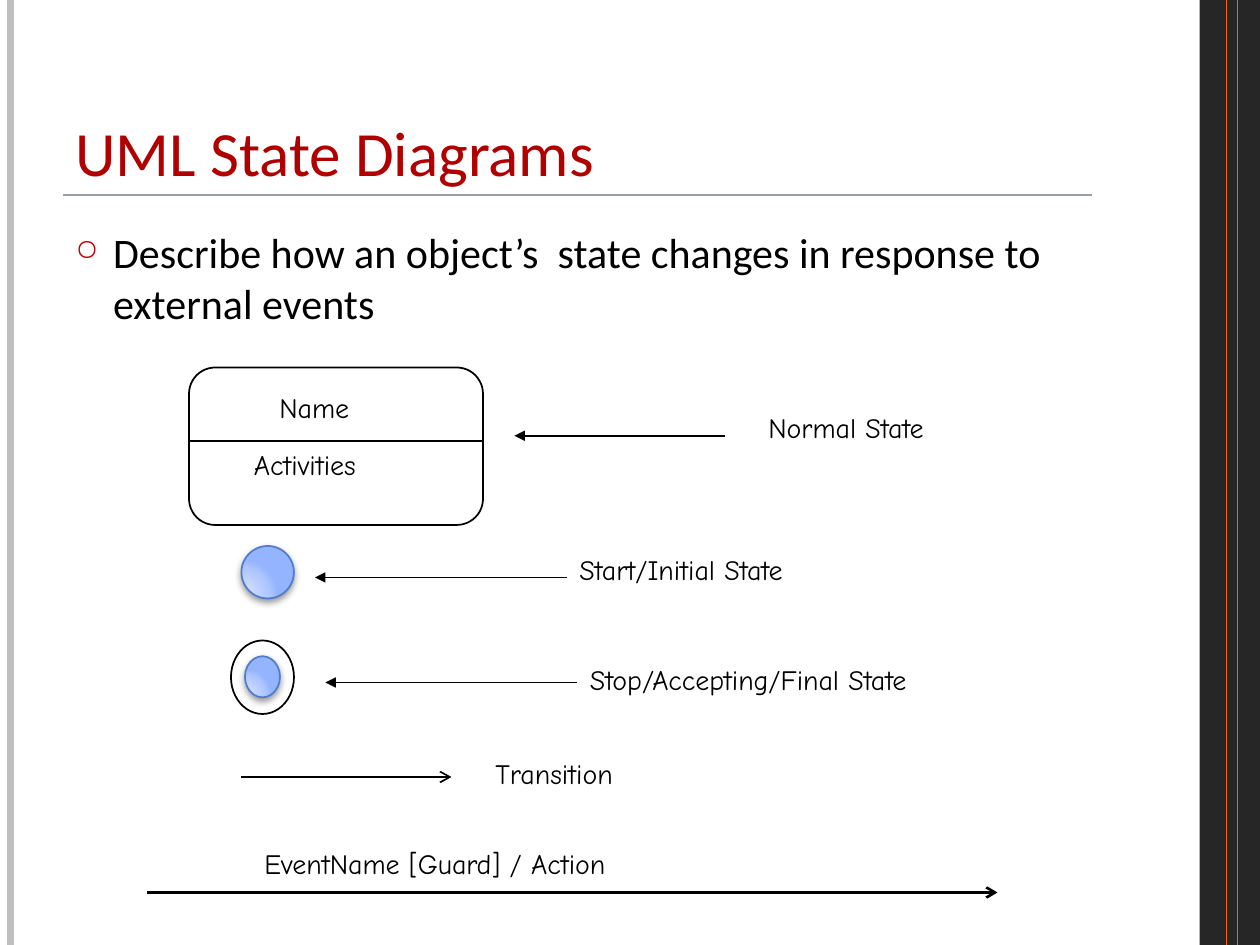
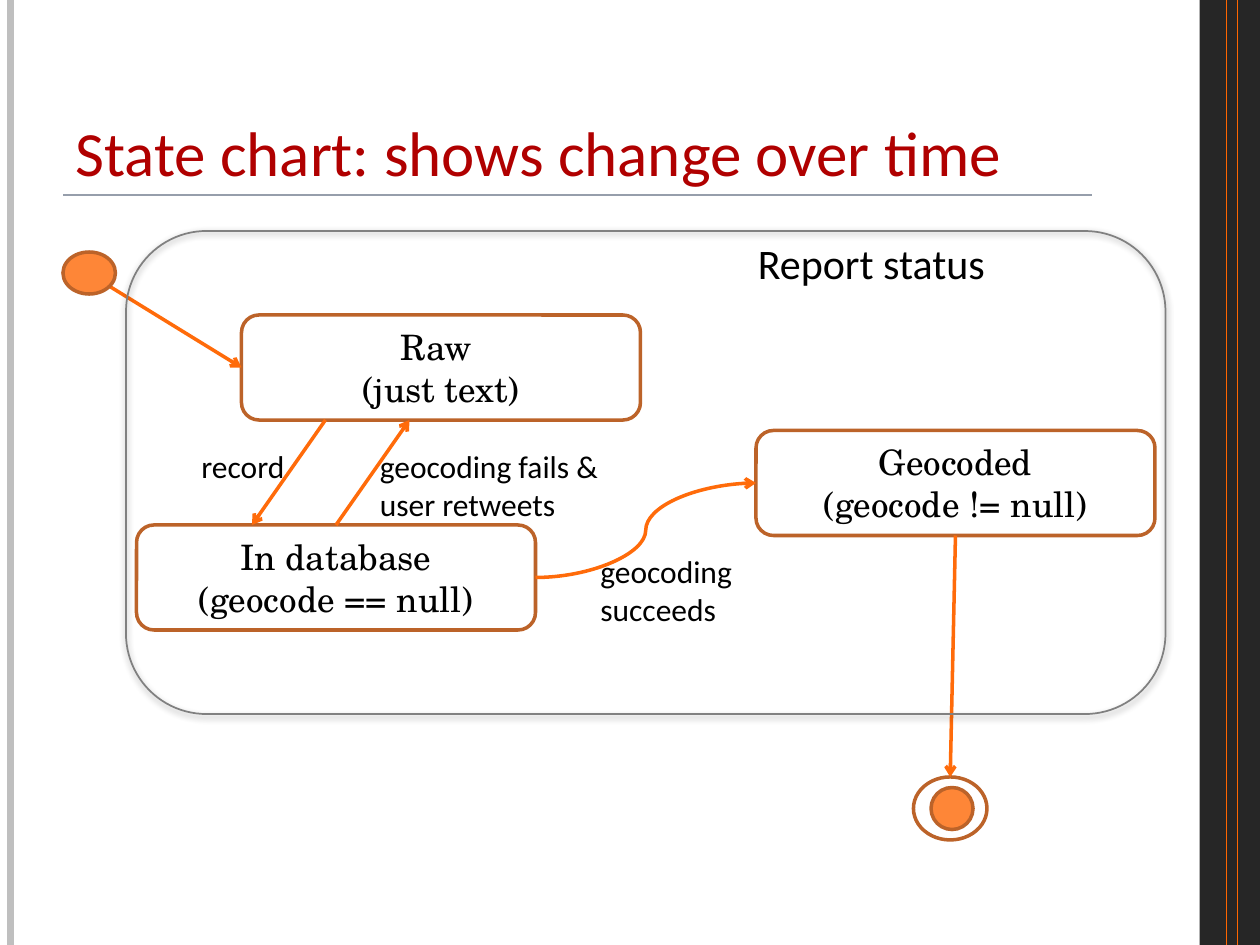
from dataclasses import dataclass

from lxml import etree
from pptx import Presentation
from pptx import util as u
from pptx.dml import color
from pptx.enum import shapes, text
from pptx.oxml import ns

Pt = u.Pt
KIND = shapes.MSO_SHAPE
WIRE = shapes.MSO_CONNECTOR


@dataclass(frozen=True)
class Theme:
    sans: str = "Calibri"
    comic: str = "Comic Neue"
    serif: str = "TeX Gyre Schola"
    black: str = "000000"
    white: str = "FFFFFF"
    title: str = "B00000"
    bullet: str = "C00000"
    band: str = "262626"
    edge: str = "BFBFBF"
    rule: str = "969EAB"
    stripe: str = "FF6600"
    arrow: str = "FF6B0A"
    orange: str = "FE8637"
    brown: str = "BC6329"
    frame: str = "808080"
    blue: str = "4F7CCF"
    ball: tuple = ((0, "CFDCFF"), (30, "CBD9FF"), (75, "AFC6FF"), (100, "95B4FF"))
    head: int = 36
    body: int = 24
    state: int = 20
    note: int = 18
    label: int = 16


T = Theme()


def rgb(code):
    return color.RGBColor.from_string(code)


def node(up, tag, **attrs):
    item = etree.SubElement(up, ns.qn(tag))
    for key, val in attrs.items():
        item.set(key, str(val))
    return item


def tint(up, code):
    return node(up, "a:srgbClr", val=code)


def write(frame, words, face, size, ink, align=text.PP_ALIGN.LEFT):
    para = frame.paragraphs[0]
    para.alignment = align
    for i, line in enumerate(words.split("\n")):
        if i:
            para.add_line_break()
        run = para.add_run()
        run.text = line
        run.font.name = face
        run.font.size = Pt(size)
        run.font.color.rgb = rgb(ink)
    return para


def area(slide, x, y, w, h, anchor=text.MSO_ANCHOR.TOP):
    frame = slide.shapes.add_textbox(Pt(x), Pt(y), Pt(w), Pt(h)).text_frame
    frame.word_wrap = True
    frame.vertical_anchor = anchor
    return frame


def label(slide, words, x, y, w, h, face, size):
    frame = area(slide, x, y, w, h)
    frame.word_wrap = False
    frame.auto_size = text.MSO_AUTO_SIZE.SHAPE_TO_FIT_TEXT
    write(frame, words, face, size, T.black)


def line(slide, x1, y1, x2, y2, ink, width=1, tip=None, kind=WIRE.STRAIGHT):
    wire = slide.shapes.add_connector(kind, Pt(x1), Pt(y1), Pt(x2), Pt(y2))
    wire.line.color.rgb = rgb(ink)
    wire.line.width = Pt(width)
    if tip:
        node(wire.line._get_or_add_ln(), "a:tailEnd", type=tip)
    node(wire._element.spPr, "a:effectLst")


def shape(slide, kind, x, y, w, h, fill=None, ink=None, width=1):
    item = slide.shapes.add_shape(kind, Pt(x), Pt(y), Pt(w), Pt(h))
    item.shadow.inherit = False
    if fill:
        item.fill.solid()
        item.fill.fore_color.rgb = rgb(fill)
    else:
        item.fill.background()
    if ink:
        item.line.color.rgb = rgb(ink)
        item.line.width = Pt(width)
    else:
        item.line.fill.background()
    return item


def shade(item, alpha, blur, dist):
    effects = item._element.spPr.find(ns.qn("a:effectLst"))
    drop = node(effects, "a:outerShdw", blurRad=Pt(blur), dist=Pt(dist),
                dir=5400000, rotWithShape=0)
    node(tint(drop, T.black), "a:alpha", val=alpha * 1000)


def ball(slide, x, y, w, h):
    item = shape(slide, KIND.OVAL, x, y, w, h, ink=T.blue)
    props = item._element.spPr
    props.remove(props.find(ns.qn("a:noFill")))
    grad = node(props, "a:gradFill", rotWithShape=1)
    props.find(ns.qn("a:prstGeom")).addnext(grad)
    stops = node(grad, "a:gsLst")
    for pos, code in T.ball:
        tint(node(stops, "a:gs", pos=pos * 1000), code)
    way = node(grad, "a:path", path="circle")
    node(way, "a:fillToRect", l=5000, t=100000, r=120000, b=10000)
    shade(item, 40, 4, 2)


def state(slide, words, x, y):
    box = shape(slide, KIND.ROUNDED_RECTANGLE, x, y, 228, 60, T.white, T.brown, 2)
    box.text_frame.word_wrap = True
    box.text_frame.vertical_anchor = text.MSO_ANCHOR.MIDDLE
    write(box.text_frame, words, T.serif, T.state, T.black, text.PP_ALIGN.CENTER)


def bullet(slide, words):
    para = write(area(slide, 36, 126, 588, 384), words, T.sans, T.body, T.black)
    props = para._p.get_or_add_pPr()
    props.set("marL", str(Pt(21.6)))
    props.set("indent", str(-Pt(21.6)))
    tint(node(props, "a:buClr"), T.bullet)
    node(props, "a:buSzPct", val=70000)
    node(props, "a:buChar", char="○")


def page(deck, title):
    slide = deck.slides.add_slide(deck.slide_layouts[6])
    shape(slide, KIND.RECTANGLE, 685.5, 0, 34.5, 540, T.band)
    for x, ink, width in ((6, T.edge, 4.5), (700.75, T.stripe, 0.75),
                          (707, T.stripe, 0.75)):
        line(slide, x, 0, x, 540, ink, width)
    line(slide, 36, 111.6, 624, 111.6, T.rule)
    frame = area(slide, 36, 21.6, 588, 90, text.MSO_ANCHOR.BOTTOM)
    write(frame, title, T.sans, T.head, T.title)
    return slide


def legend(deck):
    slide = page(deck, "UML State Diagrams")
    bullet(slide, "Describe how an object’s  state changes in response to external events")
    shape(slide, KIND.ROUNDED_RECTANGLE, 108, 210, 168, 90, ink=T.black)
    line(slide, 108, 252, 276, 252, T.black)
    ball(slide, 138, 312, 30, 30)
    shape(slide, KIND.OVAL, 132, 366, 36, 42, ink=T.black)
    ball(slide, 140, 375, 20, 23.5)
    for x1, x2, y, width, tip in (
        (414, 294, 249, 1, "triangle"),
        (324, 180, 330, 1, "triangle"),
        (330, 186, 390, 1, "triangle"),
        (138, 258, 444, 1, "arrow"),
        (84, 570, 510, 1.5, "arrow"),
    ):
        line(slide, x1, y, x2, y, T.black, width, tip)
    for words, x, y, w in (
        ("Name", 152.5, 219.5, 57),
        ("Activities", 138, 252, 88),
        ("Normal State", 432, 231, 117),
        ("Start/Initial State", 324, 312, 160.5),
        ("Stop/Accepting/Final State", 330, 375, 226),
        ("Transition", 276, 429, 91.5),
        ("EventName [Guard] / Action", 144, 480, 229),
    ):
        label(slide, words, x, y, w, 26.6, T.comic, T.label)


def chart(deck):
    slide = page(deck, "State chart: shows change over time")
    for words, x, y in (
        ("Raw \n(just text)", 138, 180),
        ("In database\n(geocode == null)", 78, 300),
        ("Geocoded\n(geocode != null)", 432, 246),
    ):
        state(slide, words, x, y)
    line(slide, 60, 162, 138, 210, T.arrow, 2, "arrow")
    for x, y, w, h, fill in (
        (36, 144, 30, 24, T.orange),
        (522, 444, 42, 36, T.white),
        (532, 450, 24, 24, T.orange),
    ):
        shape(slide, KIND.OVAL, x, y, w, h, fill, T.brown, 2)
    line(slide, 306, 330, 432, 276, T.arrow, 2, "arrow", WIRE.CURVE)
    for ends in ((186, 240, 144, 300), (192, 300, 234, 240), (546, 306, 543, 444)):
        line(slide, *ends, T.arrow, 2, "arrow")
    label(slide, "Report status", 426, 132, 145.5, 36.4, T.sans, T.body)
    for words, x, y, w, h in (
        ("record", 108, 252, 62.5, 29),
        ("geocoding fails &\nuser retweets", 210, 252, 144.5, 51),
        ("geocoding\nsucceeds", 336, 312, 93.5, 51),
    ):
        label(slide, words, x, y, w, h, T.sans, T.note)
    frame = shape(slide, KIND.ROUNDED_RECTANGLE, 72, 132, 594, 276, ink=T.frame)
    shade(frame, 42, 4, 1.6)


def main():
    deck = Presentation()
    deck.slide_width, deck.slide_height = Pt(720), Pt(540)
    legend(deck)
    chart(deck)
    deck.save("out.pptx")


if __name__ == "__main__":
    main()
